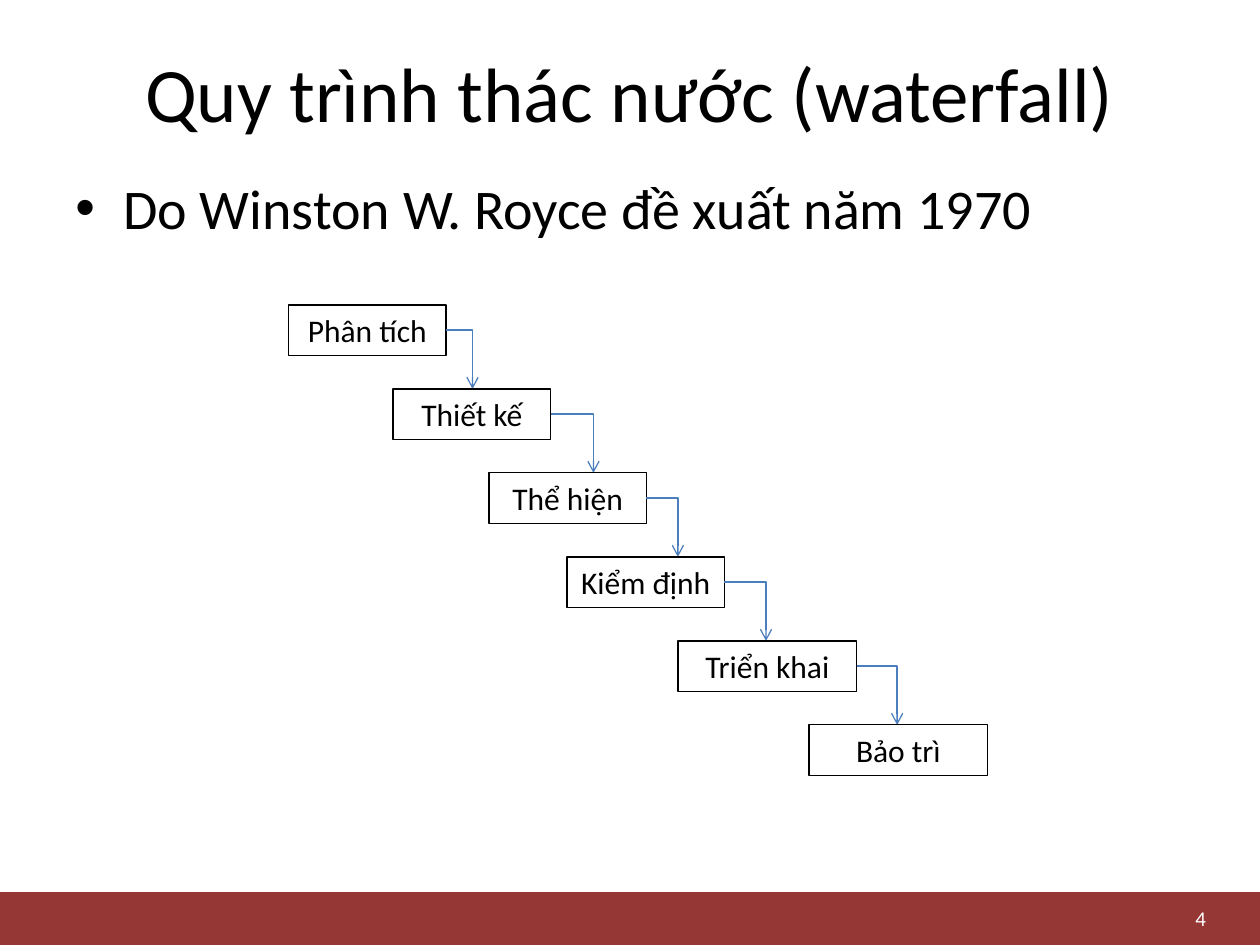
from lxml import etree
from pptx import Presentation
from pptx import util as u
from pptx.dml.color import RGBColor
from pptx.enum import shapes, text
from pptx.oxml.ns import qn

BLACK, WHITE, RED, BLUE = "000000", "FFFFFF", "953735", "4B7EBC"
MID, TOP = text.MSO_ANCHOR.MIDDLE, text.MSO_ANCHOR.TOP
LEFT, CENTER, RIGHT = text.PP_ALIGN.LEFT, text.PP_ALIGN.CENTER, text.PP_ALIGN.RIGHT
FIRST, STEP, HIGH = 2.42, 2 / 3, 0.4
STAGES = [
    ("Phân tích", 2.29, 1.25),
    ("Thiết kế", 3.12, 1.25),
    ("Thể hiện", 3.88, 1.25),
    ("Kiểm định", 4.5, 1.25),
    ("Triển khai", 5.38, 1.42),
    ("Bảo trì", 6.42, 1.42),
]
BENDS = [3.75, 4.71, 5.38, 6.08, 7.12]


def tint(form, code):
    """Set a colour format from a hex string."""
    form.rgb = RGBColor.from_string(code)


def place(*vals):
    """Turn inch values into lengths."""
    return [u.Inches(val) for val in vals]


def write(shape, words, size, code=BLACK, align=CENTER, anchor=MID):
    """Write one styled paragraph into a shape and return it."""
    frame = shape.text_frame
    for key, val in {"word_wrap": True, "vertical_anchor": anchor}.items():
        setattr(frame, key, val)
    para = frame.paragraphs[0]
    para.alignment = align
    run = para.add_run()
    run.text = words
    for key, val in {"name": "Calibri", "size": u.Pt(size)}.items():
        setattr(run.font, key, val)
    tint(run.font.color, code)
    return para


def label(slide, box, words, size, **form):
    """Add a text box and return its paragraph."""
    return write(slide.shapes.add_textbox(*place(*box)), words, size, **form)


def bullet(para):
    """Give a paragraph a hanging bullet and space above."""
    para.space_before = u.Pt(6.4)
    props = para._p.get_or_add_pPr()
    props.set("marL", str(u.Inches(0.38)))
    props.set("indent", str(u.Inches(-0.38)))
    etree.SubElement(props, qn("a:buFont"), typeface="Arial")
    etree.SubElement(props, qn("a:buChar"), char="•")


def rect(slide, box, fill=None, line=None):
    """Add a plain rectangle."""
    shape = slide.shapes.add_shape(shapes.MSO_SHAPE.RECTANGLE, *place(*box))
    shape.shadow.inherit = False
    if fill:
        shape.fill.solid()
        tint(shape.fill.fore_color, fill)
    else:
        shape.fill.background()
    if line:
        tint(shape.line.color, line)
        shape.line.width = u.Pt(0.75)
    else:
        shape.line.fill.background()
    return shape


def arrow(slide, *ends):
    """Add an arrow that runs right and then down."""
    link = slide.shapes.add_connector(shapes.MSO_CONNECTOR.ELBOW, *place(*ends))
    tint(link.line.color, BLUE)
    link.line.width = u.Pt(0.75)
    props = link._element.spPr
    props.find(qn("a:prstGeom")).set("prst", "bentConnector2")
    etree.SubElement(link.line._get_or_add_ln(), qn("a:tailEnd"), type="arrow")
    etree.SubElement(props, qn("a:effectLst"))


def main():
    """Build the waterfall slide."""
    deck = Presentation()
    deck.slide_width, deck.slide_height = place(10, 7.5)
    slide = deck.slides.add_slide(deck.slide_layouts[6])
    rect(slide, (0, 7.08, 10, 0.42), fill=RED)
    label(slide, (6.92, 7.12, 2.75, 0.33), "4", 12, code=WHITE, align=RIGHT)
    label(slide, (0.5, 0.25, 9, 0.95), "Quy trình thác nước (waterfall)", 44)
    bullet(label(slide, (0.5, 1.33, 9, 5.58), "Do Winston W. Royce đề xuất năm 1970",
                 32, align=LEFT, anchor=TOP))
    for row, (name, left, wide) in enumerate(STAGES):
        top = FIRST + row * STEP
        write(rect(slide, (left, top, wide, HIGH), line=BLACK), name, 18)
        if row < len(BENDS):
            arrow(slide, left + wide, top + HIGH / 2, BENDS[row], top + STEP)
    deck.save("out.pptx")


if __name__ == "__main__":
    main()
